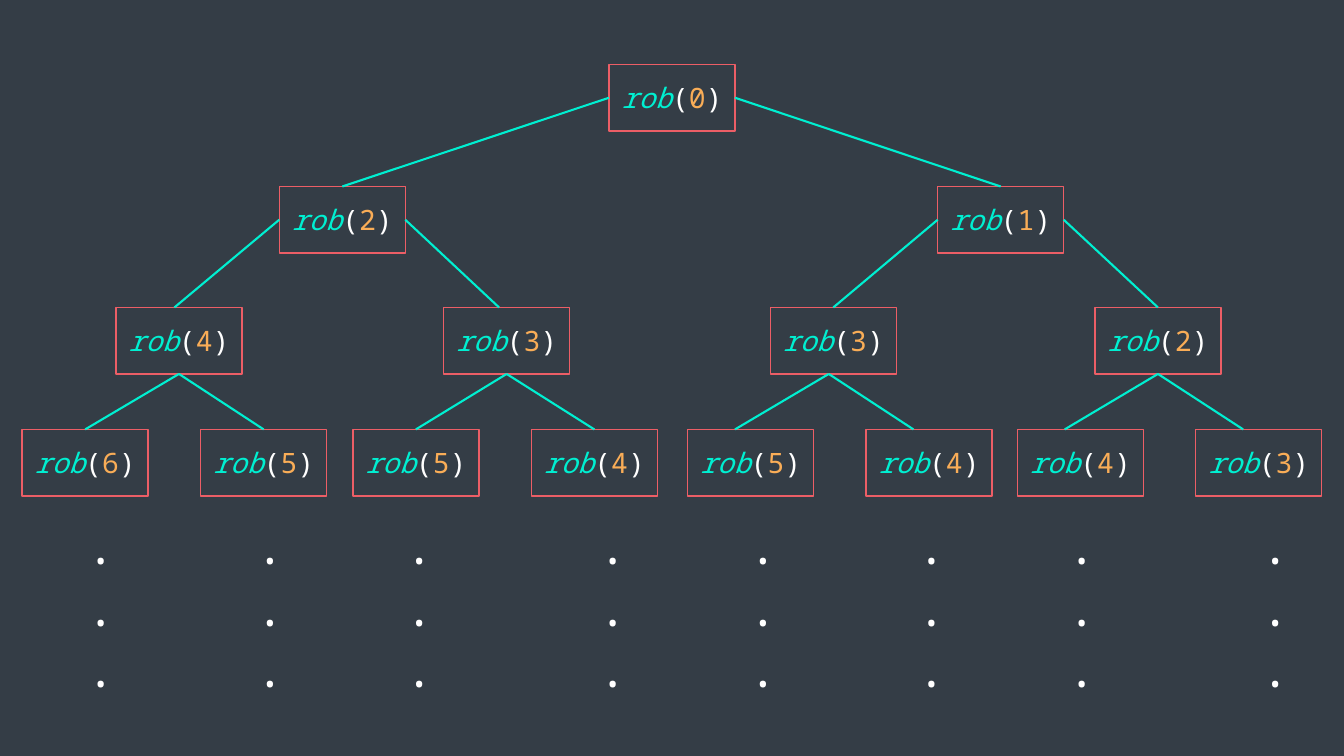
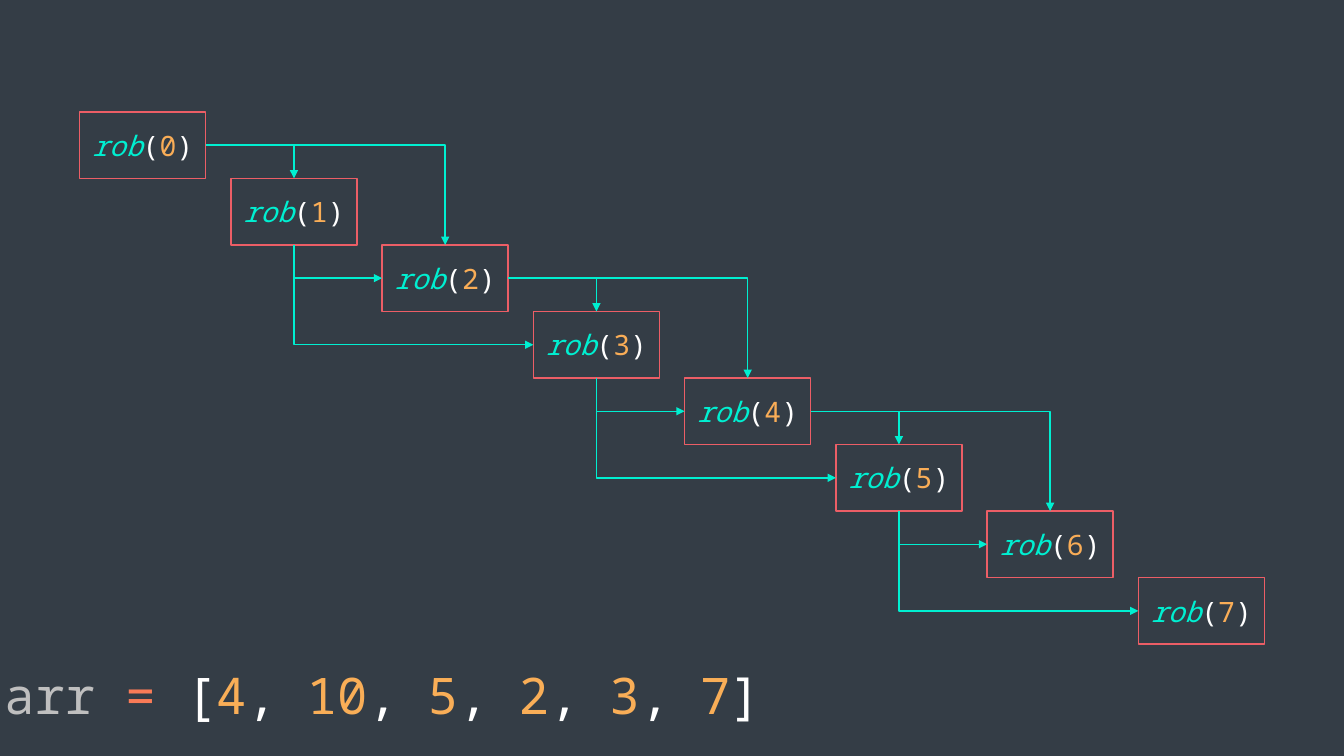
"""Build the call tree and the memoised call chain of rob as two slides."""
from dataclasses import dataclass
from typing import Any

from lxml.etree import SubElement
from pptx import Presentation
from pptx.dml.color import RGBColor
from pptx.enum.shapes import MSO_CONNECTOR as Wire, MSO_SHAPE as Preset
from pptx.enum.text import MSO_ANCHOR as Anchor, MSO_AUTO_SIZE as AutoSize, PP_ALIGN as Align
from pptx.oxml.ns import qn
from pptx.util import Emu, Pt

EMU_PER_PX = 9144
SLIDE_W, SLIDE_H = 1333, 750
BOX_W, BOX_H = 125, 66

SLATE = RGBColor(0x34, 0x3D, 0x46)
CORAL = RGBColor(0xEC, 0x5E, 0x66)
TEAL = RGBColor(0x00, 0xEF, 0xD1)
AMBER = RGBColor(0xF9, 0xAD, 0x57)
ARRAY_AMBER = RGBColor(0xF9, 0xAE, 0x57)
ORANGE = RGBColor(0xF9, 0x7B, 0x57)
SILVER = RGBColor(0xBF, 0xBF, 0xBF)
WHITE = RGBColor(0xFF, 0xFF, 0xFF)

CODE = {"name": "Noto Sans Mono", "size": Pt(20), "italic": False}
CALL = CODE | {"italic": True}
LARGE = CODE | {"size": Pt(36)}
LARGE_PITCH = Pt(44)

TOP, LEFT, BOTTOM, RIGHT = range(4)


@dataclass(frozen=True)
class Token:
    """A coloured piece of code."""
    text: str
    color: RGBColor
    font: dict[str, Any]


@dataclass(frozen=True)
class Call:
    """A boxed call; land and leave shift its line ends off centre."""
    arg: int
    x: int
    y: int
    land: int = 0
    leave: int = 0

    def site(self, side: int) -> tuple[int, int]:
        """Return the point where a line meets the given side."""
        return {
            TOP: (self.x + BOX_W // 2 + self.land, self.y),
            LEFT: (self.x, self.y + BOX_H // 2),
            BOTTOM: (self.x + BOX_W // 2 + self.leave, self.y + BOX_H),
            RIGHT: (self.x + BOX_W, self.y + BOX_H // 2),
        }[side]

    def centred(self, side: int) -> bool:
        """Tell whether the line end sits on the middle of the side."""
        return not {TOP: self.land, BOTTOM: self.leave}.get(side, 0)


LEVELS = (
    (64, (Call(0, 604, 64),)),
    (185, (Call(2, 277, 185), Call(1, 930, 185))),
    (305, (Call(4, 115, 305, land=-4), Call(3, 440, 305, land=-7),
           Call(3, 764, 305, leave=-4), Call(2, 1086, 305))),
    (426, (Call(6, 22, 426), Call(5, 199, 426), Call(5, 350, 426), Call(4, 527, 426),
           Call(5, 682, 426, land=-15), Call(4, 859, 426, land=-15),
           Call(4, 1009, 426, land=-15), Call(3, 1186, 426, land=-15))),
)
TREE = [call for _, row in LEVELS for call in row]
FIRST_BOTTOM_PARENT = 3
DOT_LEFTS = (75, 243, 391, 583, 732, 899, 1048, 1240)
STAIRS = [Call(i, 79 + 150 * i, 111 + 66 * i) for i in range(8)]
ARRAY = (4, 10, 5, 2, 3, 7)


def px(length: int) -> Emu:
    """Convert pixels to EMU."""
    return Emu(length * EMU_PER_PX)


def write(paragraph: Any, tokens: list[Token]) -> None:
    """Write centred code tokens into a paragraph."""
    paragraph.alignment = Align.CENTER
    for token in tokens:
        run = paragraph.add_run()
        run.text = token.text
        for name, value in token.font.items():
            setattr(run.font, name, value)
        run.font.color.rgb = token.color


def add_call(slide: Any, call: Call) -> Any:
    """Draw one boxed call."""
    box = slide.shapes.add_shape(Preset.RECTANGLE, *map(px, (call.x, call.y, BOX_W, BOX_H)))
    box.shadow.inherit = False
    box.fill.solid()
    box.fill.fore_color.rgb = SLATE
    box.line.color.rgb = CORAL
    box.line.width = Pt(1)
    box.text_frame.vertical_anchor = Anchor.MIDDLE
    write(box.text_frame.paragraphs[0], [
        Token("rob", TEAL, CALL), Token("(", WHITE, CODE),
        Token(str(call.arg), AMBER, CODE), Token(")", WHITE, CODE)])
    return box


def add_code(slide: Any, area: tuple[int, int, int, int], lines: list[list[Token]]) -> None:
    """Draw large code lines in a text box."""
    frame = slide.shapes.add_textbox(*map(px, area)).text_frame
    frame.word_wrap = True
    frame.auto_size = AutoSize.SHAPE_TO_FIT_TEXT
    for i, tokens in enumerate(lines):
        paragraph = frame.add_paragraph() if i else frame.paragraphs[0]
        paragraph.line_spacing = LARGE_PITCH
        write(paragraph, tokens)


def add_wire(slide: Any, kind: Wire, calls: list[Call], boxes: list[Any],
             start: tuple[int, int], end: tuple[int, int], weight: float) -> Any:
    """Join two calls, each given as an index and a side."""
    (source, out_side), (target, in_side) = start, end
    ends = (*calls[source].site(out_side), *calls[target].site(in_side))
    wire = slide.shapes.add_connector(kind, *map(px, ends))
    if calls[source].centred(out_side):
        wire.begin_connect(boxes[source], out_side)
    if calls[target].centred(in_side):
        wire.end_connect(boxes[target], in_side)
    wire.line.color.rgb = TEAL
    wire.line.width = Pt(weight)
    SubElement(wire.element.spPr, qn("a:effectLst"))
    return wire


def bend(wire: Any, downward: bool) -> None:
    """Give an elbow a single corner and an arrowhead."""
    properties = wire.element.spPr
    properties.find(qn("a:prstGeom")).set("prst", "bentConnector2")
    SubElement(properties.find(qn("a:ln")), qn("a:tailEnd"), type="triangle")
    if downward:
        width, height = wire.width, wire.height
        shift = (width - height) // 2
        turned = {"left": wire.left + shift, "top": wire.top - shift,
                  "width": height, "height": width}
        for name, value in turned.items():
            setattr(wire, name, Emu(value))
        frame = properties.find(qn("a:xfrm"))
        frame.set("rot", "16200000")
        frame.set("flipH", "1")


def build_tree(slide: Any) -> None:
    """Draw the full recursion tree with dots below it."""
    boxes = [add_call(slide, call) for call in TREE]
    for child in range(1, len(TREE)):
        parent = (child - 1) // 2
        side = LEFT if child % 2 else RIGHT
        if parent >= FIRST_BOTTOM_PARENT:
            side = BOTTOM
        add_wire(slide, Wire.STRAIGHT, TREE, boxes, (parent, side), (child, TOP), 1.5)
    for left in DOT_LEFTS:
        add_code(slide, (left, 504, 43, 192), [[Token(".", WHITE, LARGE)]] * 3)


def build_stairs(slide: Any) -> None:
    """Draw the chain of calls and the input array."""
    boxes = [add_call(slide, call) for call in STAIRS]
    for source in range(len(STAIRS) - 2):
        downward = source % 2 == 1
        out_side, in_side = (BOTTOM, LEFT) if downward else (RIGHT, TOP)
        for target in (source + 1, source + 2):
            wire = add_wire(slide, Wire.ELBOW, STAIRS, boxes,
                            (source, out_side), (target, in_side), 1)
            bend(wire, downward)
    tokens = [Token("arr ", SILVER, LARGE), Token("=", ORANGE, LARGE)]
    for i, value in enumerate(ARRAY):
        tokens += [Token(", " if i else " [", WHITE, LARGE),
                   Token(str(value), ARRAY_AMBER, LARGE)]
    add_code(slide, (-14, 653, 787, 71), [tokens + [Token("]", WHITE, LARGE)]])


def main() -> None:
    """Build and save the deck."""
    deck = Presentation()
    deck.slide_width, deck.slide_height = px(SLIDE_W), px(SLIDE_H)
    backdrop = deck.slide_master.background.fill
    backdrop.solid()
    backdrop.fore_color.rgb = SLATE
    blank = deck.slide_layouts[6]
    for build in (build_tree, build_stairs):
        build(deck.slides.add_slide(blank))
    deck.save("out.pptx")


if __name__ == "__main__":
    main()
